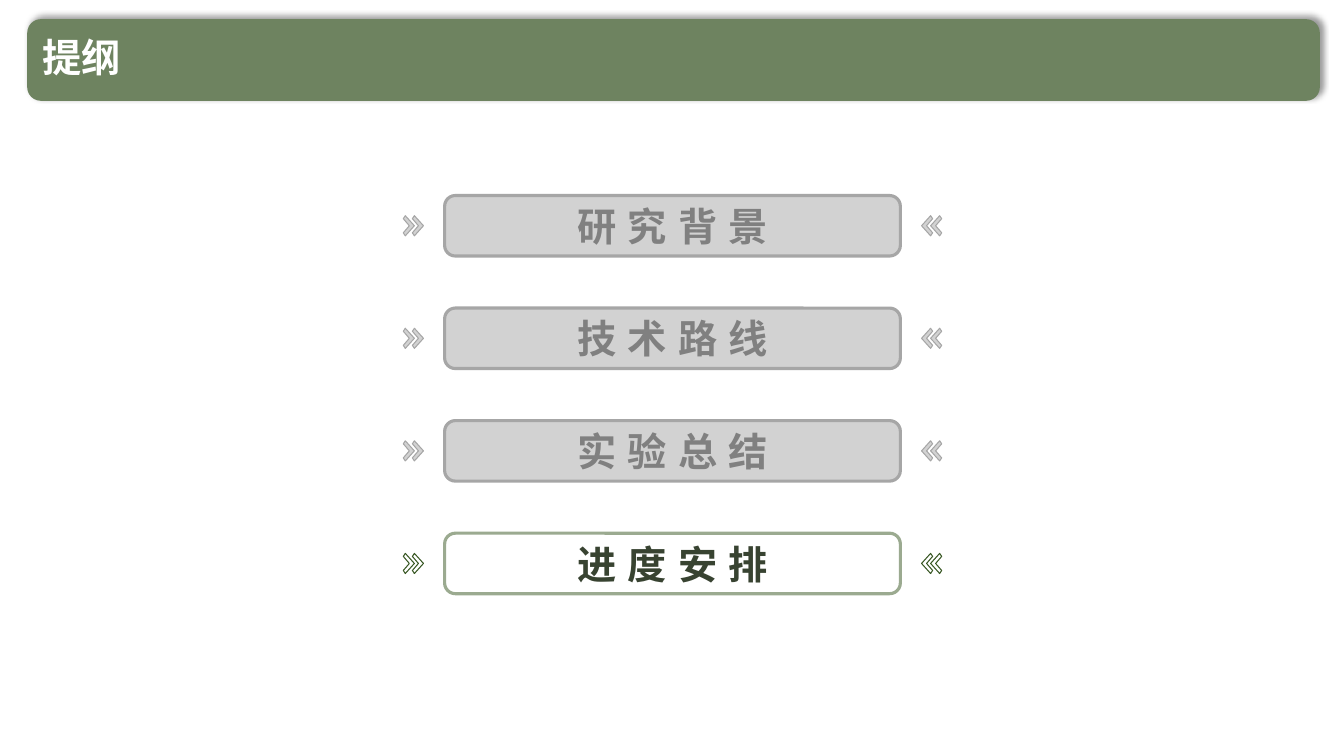
from dataclasses import dataclass
from typing import Optional

from lxml import etree
from pptx import Presentation
from pptx import util as u
from pptx.dml.color import RGBColor
from pptx.enum import shapes, text
from pptx.oxml import ns

FONT = "Noto Sans CJK SC"
GREEN = "6E8360"
BOX_LEFT, BOX_WIDTH, BOX_HEIGHT = 4.41, 4.52, 0.6
FIRST_TOP, LAST_TOP = 1.94, 5.29
CENTER_X = 6.67
CHEVRON_LEFTS = (4.0, 4.09)
CHEVRON = ((0.02, -0.1), (0, -0.07), (0.06, 0), (0, 0.07), (0.02, 0.1), (0.11, 0))


@dataclass(frozen=True)
class Style:
    fill: Optional[str]
    border: str
    arrow: str
    font: str


@dataclass(frozen=True)
class Topic:
    label: str
    style: Style


MUTED = Style("A6A6A6", "A6A6A6", "A6A6A6", "808080")
ACTIVE = Style(None, "9BAA90", "385723", "384331")
TOPICS = (
    Topic("研究背景", MUTED),
    Topic("技术路线", MUTED),
    Topic("实验总结", MUTED),
    Topic("进度安排", ACTIVE),
)


def rgb(color: str) -> RGBColor:
    return RGBColor.from_string(color)


def set_alpha(color_element, percent: int) -> None:
    alpha = etree.SubElement(color_element, ns.qn("a:alpha"))
    alpha.set("val", str(percent * 1000))


def paint(sp, fill: Optional[str], line: str, width: float) -> None:
    """Give a shape a half-transparent fill, or none, and a solid outline."""
    sp.shadow.inherit = False
    if fill:
        sp.fill.solid()
        sp.fill.fore_color.rgb = rgb(fill)
        set_alpha(sp.element.spPr.find(".//" + ns.qn("a:srgbClr")), 50)
    else:
        sp.fill.background()
    sp.line.color.rgb = rgb(line)
    sp.line.width = u.Pt(width)


def add_run(p, words: str, color: str, spacing: int = 0) -> None:
    r = p.add_run()
    r.text = words
    r.font.name, r.font.size, r.font.bold = FONT, u.Pt(28), True
    r.font.color.rgb = rgb(color)
    props = r.font._element
    props.set("spc", str(spacing * 100))
    etree.SubElement(props, ns.qn("a:ea")).set("typeface", FONT)


def add_chevron(group, left: float, middle: float, mirrored: bool, style: Style) -> None:
    points = []
    for dx, dy in CHEVRON:
        x = left + dx
        if mirrored:
            x = 2 * CENTER_X - x
        points.append((u.Inches(x), u.Inches(middle + dy)))
    builder = group.shapes.build_freeform(*points[0])
    builder.add_line_segments(points[1:], close=True)
    paint(builder.convert_to_shape(), style.fill, style.arrow, 0.75)


def add_topic(s, topic: Topic, top: float) -> None:
    group = s.shapes.add_group_shape()
    for mirrored in (False, True):
        for left in CHEVRON_LEFTS:
            add_chevron(group, left, top + BOX_HEIGHT / 2, mirrored, topic.style)
    sp = group.shapes.add_shape(
        shapes.MSO_SHAPE.ROUNDED_RECTANGLE, u.Inches(BOX_LEFT), u.Inches(top),
        u.Inches(BOX_WIDTH), u.Inches(BOX_HEIGHT))
    sp.adjustments[0] = 0.177
    paint(sp, topic.style.fill, topic.style.border, 2.25)
    tf = sp.text_frame
    tf.vertical_anchor = text.MSO_ANCHOR.MIDDLE
    p = tf.paragraphs[0]
    p.alignment = text.PP_ALIGN.CENTER
    add_run(p, topic.label[:-1], topic.style.font, 8)
    add_run(p, topic.label[-1], topic.style.font)


def add_header(s, words: str) -> None:
    bar = s.shapes.add_shape(
        shapes.MSO_SHAPE.ROUNDED_RECTANGLE, u.Inches(0.27), u.Inches(0.19),
        u.Inches(12.82), u.Inches(0.81))
    bar.fill.solid()
    bar.fill.fore_color.rgb = rgb(GREEN)
    bar.line.fill.background()
    bar.shadow.inherit = False
    effects = bar.element.spPr.find(ns.qn("a:effectLst"))
    shadow = etree.SubElement(
        effects, ns.qn("a:outerShdw"), blurRad=str(u.Pt(4)), dist=str(u.Pt(3)),
        dir=str(315 * 60000), algn="bl", rotWithShape="0")
    set_alpha(etree.SubElement(shadow, ns.qn("a:srgbClr"), val="000000"), 40)

    title = s.shapes.title
    bar.element.addnext(title.element)
    title.left, title.top = u.Inches(0.32), u.Inches(0.28)
    title.width, title.height = u.Inches(11.07), u.Inches(0.62)
    tf = title.text_frame
    tf.vertical_anchor = text.MSO_ANCHOR.MIDDLE
    tf.auto_size = text.MSO_AUTO_SIZE.NONE
    p = tf.paragraphs[0]
    p.alignment = text.PP_ALIGN.LEFT
    p.line_spacing = 0.9
    add_run(p, words, "FFFFFF")


def main() -> None:
    prs = Presentation()
    prs.slide_width, prs.slide_height = u.Inches(13.33), u.Inches(7.5)
    s = prs.slides.add_slide(prs.slide_layouts[5])
    add_header(s, "提纲")
    step = (LAST_TOP - FIRST_TOP) / (len(TOPICS) - 1)
    for i, topic in enumerate(TOPICS):
        add_topic(s, topic, FIRST_TOP + i * step)
    prs.save("out.pptx")


if __name__ == "__main__":
    main()
